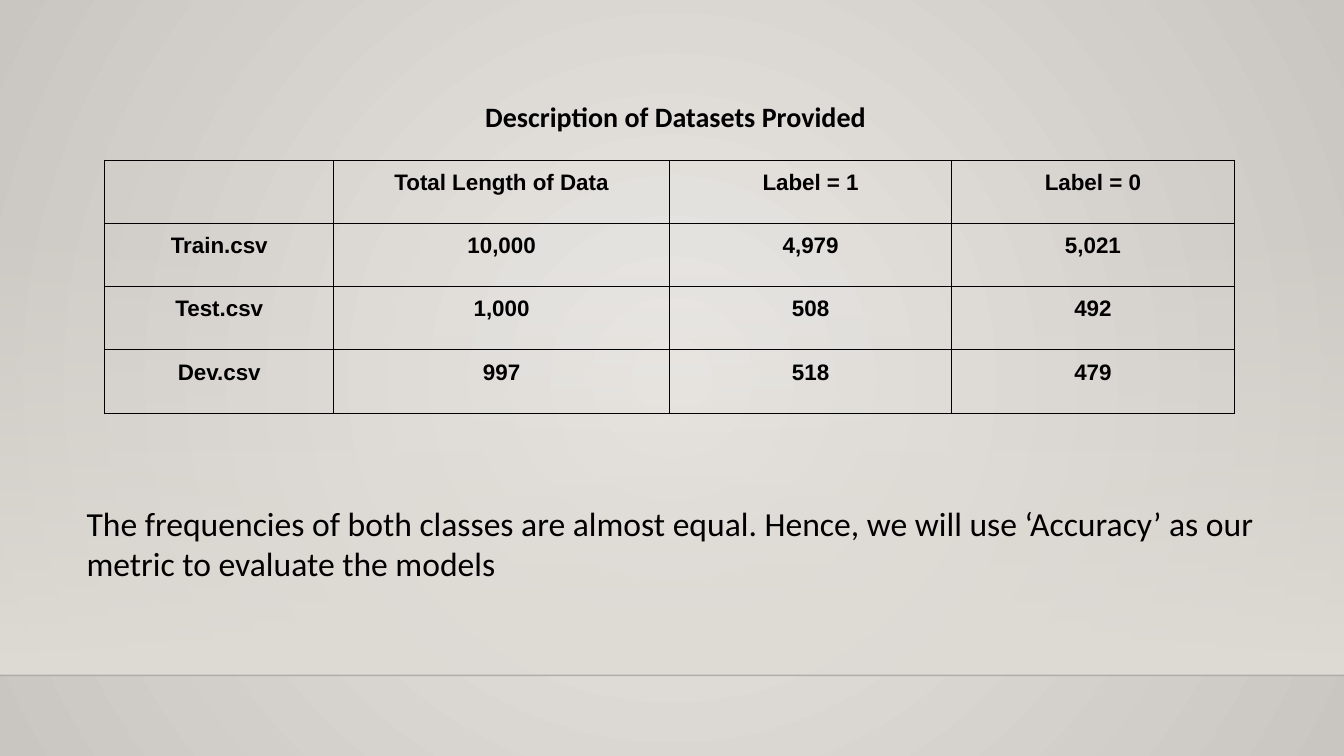
from pptx import Presentation
from pptx.dml.color import RGBColor
from pptx.enum import shapes, text
from pptx.oxml import parse_xml
from pptx.oxml.ns import nsdecls, qn
from pptx.util import Inches, Pt

COLORS = {"ink": "000000", "line": "000001", "center": "EBE9E6",
          "edge": "C9C5C0", "floor": "DFDBD5"}
WIDTH, HEIGHT = 13.33, 7.5
COLUMNS = [2.27, 3.33, 2.8, 2.8]
DATASETS = [
    ["", "Total Length of Data", "Label = 1", "Label = 0"],
    ["Train.csv", "10,000", "4,979", "5,021"],
    ["Test.csv", "1,000", "508", "492"],
    ["Dev.csv", "997", "518", "479"],
]


def solid_xml(color, alpha=100):
    return (f'<a:solidFill {nsdecls("a")}><a:srgbClr val="{COLORS[color]}">'
            f'<a:alpha val="{alpha * 1000}"/></a:srgbClr></a:solidFill>')


def gradient_xml(stops, direction):
    """Gradient from (position, colour, opacity) stops, all in percent."""
    gs = "".join(
        f'<a:gs pos="{pos * 1000}"><a:srgbClr val="{COLORS[color]}">'
        f'<a:alpha val="{alpha * 1000}"/></a:srgbClr></a:gs>'
        for pos, color, alpha in stops)
    return (f'<a:gradFill {nsdecls("a")} rotWithShape="1">'
            f'<a:gsLst>{gs}</a:gsLst>{direction}</a:gradFill>')


def add_backdrop(s, horizon):
    """Radial background, a fading floor and the line at its foot."""
    radial = ('<a:path path="circle"><a:fillToRect l="50000" t="50000" '
              'r="50000" b="50000"/></a:path>')
    fill = gradient_xml([(0, "center", 100), (100, "edge", 100)], radial)
    s._element.cSld.insert(0, parse_xml(
        f'<p:bg {nsdecls("p", "a")}><p:bgPr>{fill}<a:effectLst/></p:bgPr></p:bg>'))

    top = 2.21
    floor = s.shapes.add_shape(shapes.MSO_SHAPE.RECTANGLE, 0, Inches(top),
                               Inches(WIDTH), Inches(horizon - top))
    floor.shadow.inherit = False
    floor.line.fill.background()
    floor._element.spPr.find(qn("a:prstGeom")).addnext(parse_xml(gradient_xml(
        [(0, "floor", 0), (100, "floor", 100)],
        '<a:lin ang="5400000" scaled="0"/>')))

    line = s.shapes.add_connector(shapes.MSO_CONNECTOR.STRAIGHT, 0,
                                  Inches(horizon), Inches(WIDTH), Inches(horizon))
    line.line.width = Pt(1)
    line.line._get_or_add_ln().insert(0, parse_xml(solid_xml("line", 20)))
    line._element.spPr.append(parse_xml(f'<a:effectLst {nsdecls("a")}/>'))


def write(tf, content, size, font, bold=False, align=None):
    p = tf.paragraphs[0]
    p.alignment = align
    r = p.add_run()
    r.text = content
    r.font.size, r.font.name, r.font.bold = Pt(size), font, bold
    r.font.color.rgb = RGBColor.from_string(COLORS["ink"])


def add_text(s, box, content, size, **style):
    tf = s.shapes.add_textbox(*map(Inches, box)).text_frame
    tf.word_wrap = True
    tf.margin_left = tf.margin_right = Inches(0.1)
    tf.margin_top = tf.margin_bottom = Inches(0.1)
    write(tf, content, size, "Calibri", **style)


def add_borders(cell):
    tc_pr = cell._tc.get_or_add_tcPr()
    for i, side in enumerate(("lnL", "lnR", "lnT", "lnB")):
        tc_pr.insert(i, parse_xml(
            f'<a:{side} {nsdecls("a")} w="{Pt(0.75)}">{solid_xml("ink")}</a:{side}>'))


def add_dataset_table(s, box):
    frame = s.shapes.add_table(len(DATASETS), len(COLUMNS), *map(Inches, box))
    table = frame.table
    table.first_row = table.horz_banding = False
    for column, width in zip(table.columns, COLUMNS):
        column.width = Inches(width)
    for row, values in zip(table.rows, DATASETS):
        for cell, value in zip(row.cells, values):
            cell.fill.background()
            cell.margin_left = cell.margin_right = Inches(0.1)
            cell.margin_top = cell.margin_bottom = Inches(0.1)
            add_borders(cell)
            if value:
                write(cell.text_frame, value, 16, "Arial", True,
                      text.PP_ALIGN.CENTER)


def main():
    prs = Presentation()
    prs.slide_width, prs.slide_height = Inches(WIDTH), Inches(HEIGHT)
    s = prs.slides.add_slide(prs.slide_layouts[6])
    add_backdrop(s, 6.7)
    add_dataset_table(s, (1.04, 1.59, sum(COLUMNS), 2.51))
    add_text(s, (4.09, 0.89, 5.22, 0.54), "Description of Datasets Provided",
             20, bold=True, align=text.PP_ALIGN.CENTER)
    add_text(s, (0.76, 4.89, 12.09, 1.01),
             "The frequencies of both classes are almost equal. Hence, we will "
             "use ‘Accuracy’ as our metric to evaluate the models", 24)
    prs.save("out.pptx")


if __name__ == "__main__":
    main()
